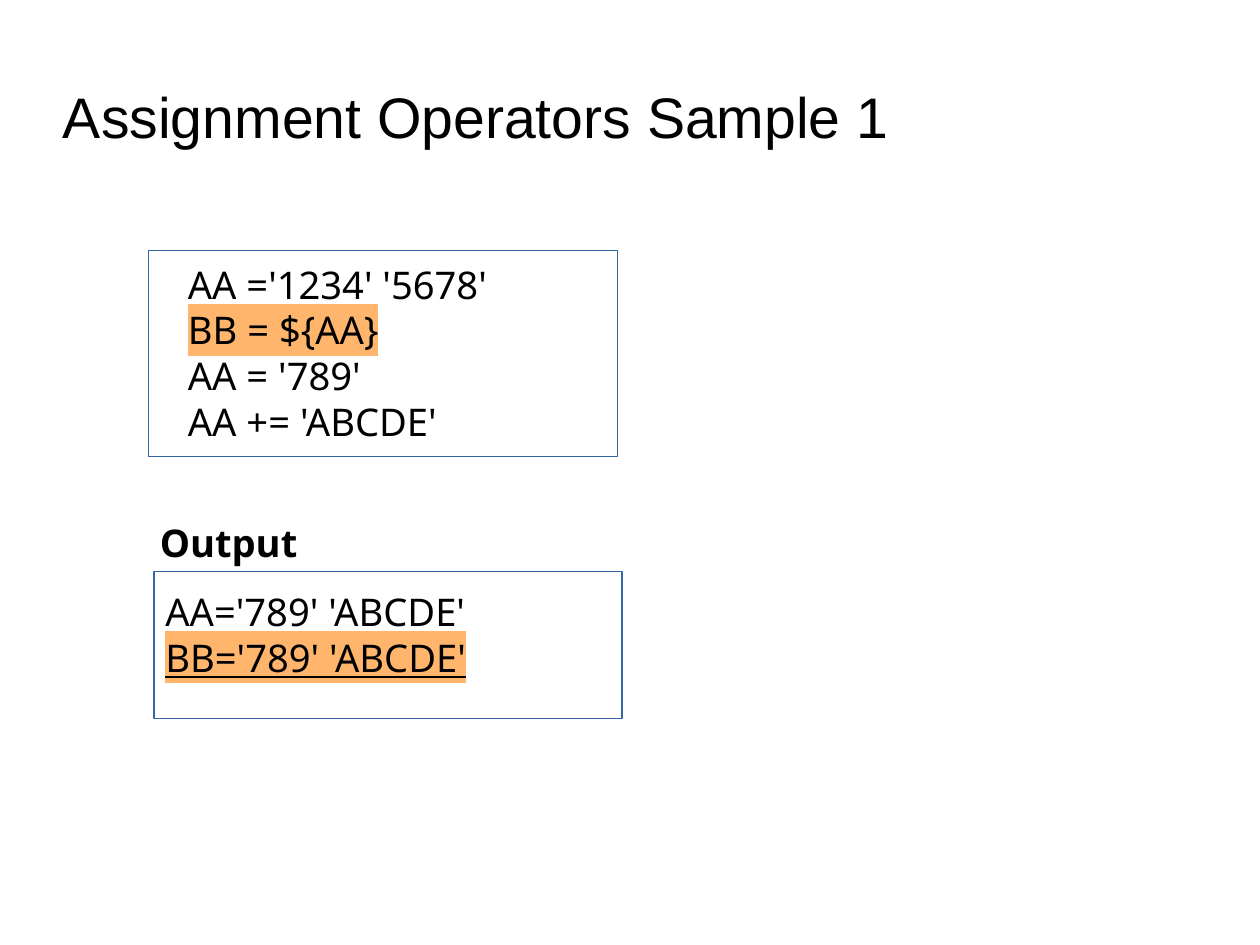
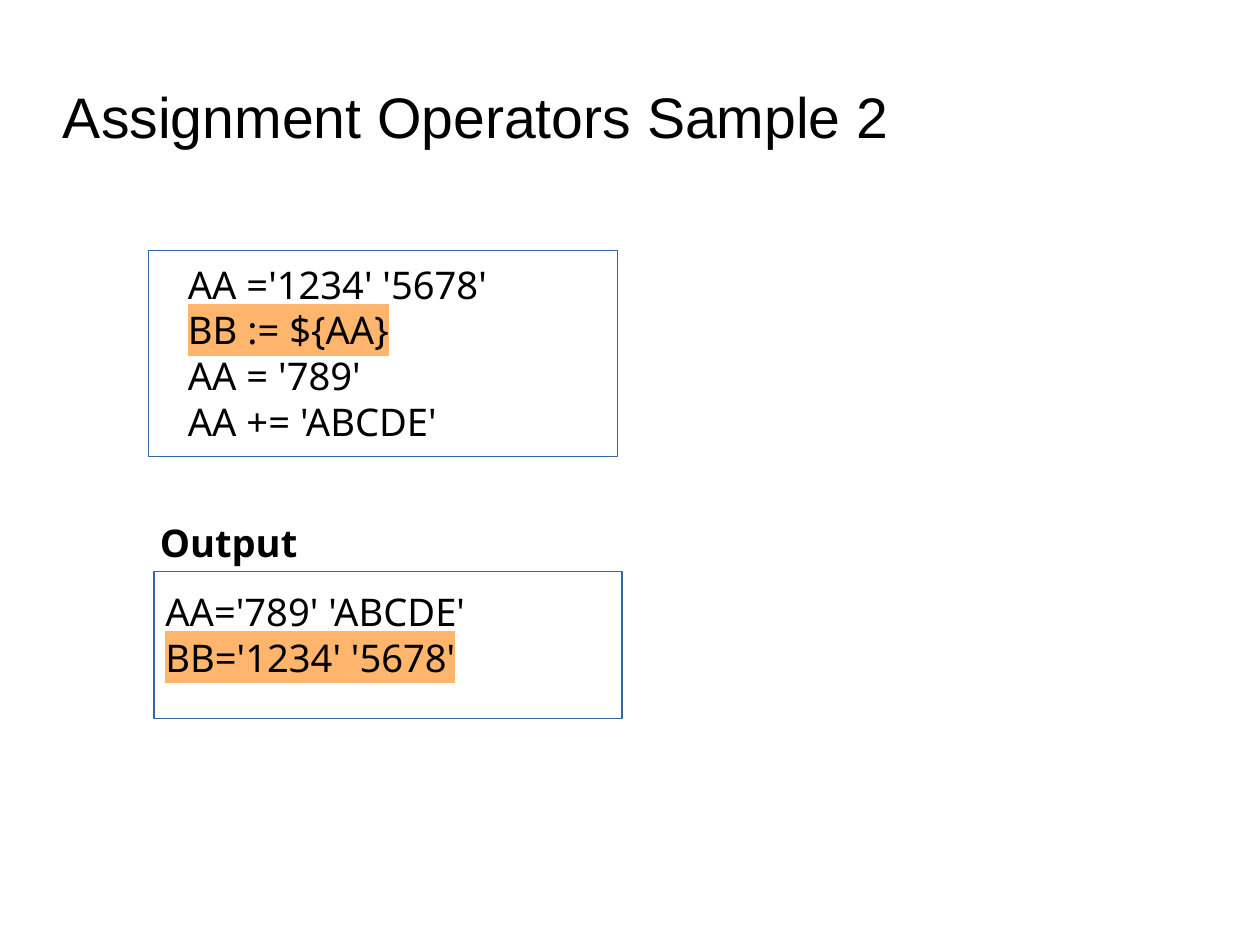
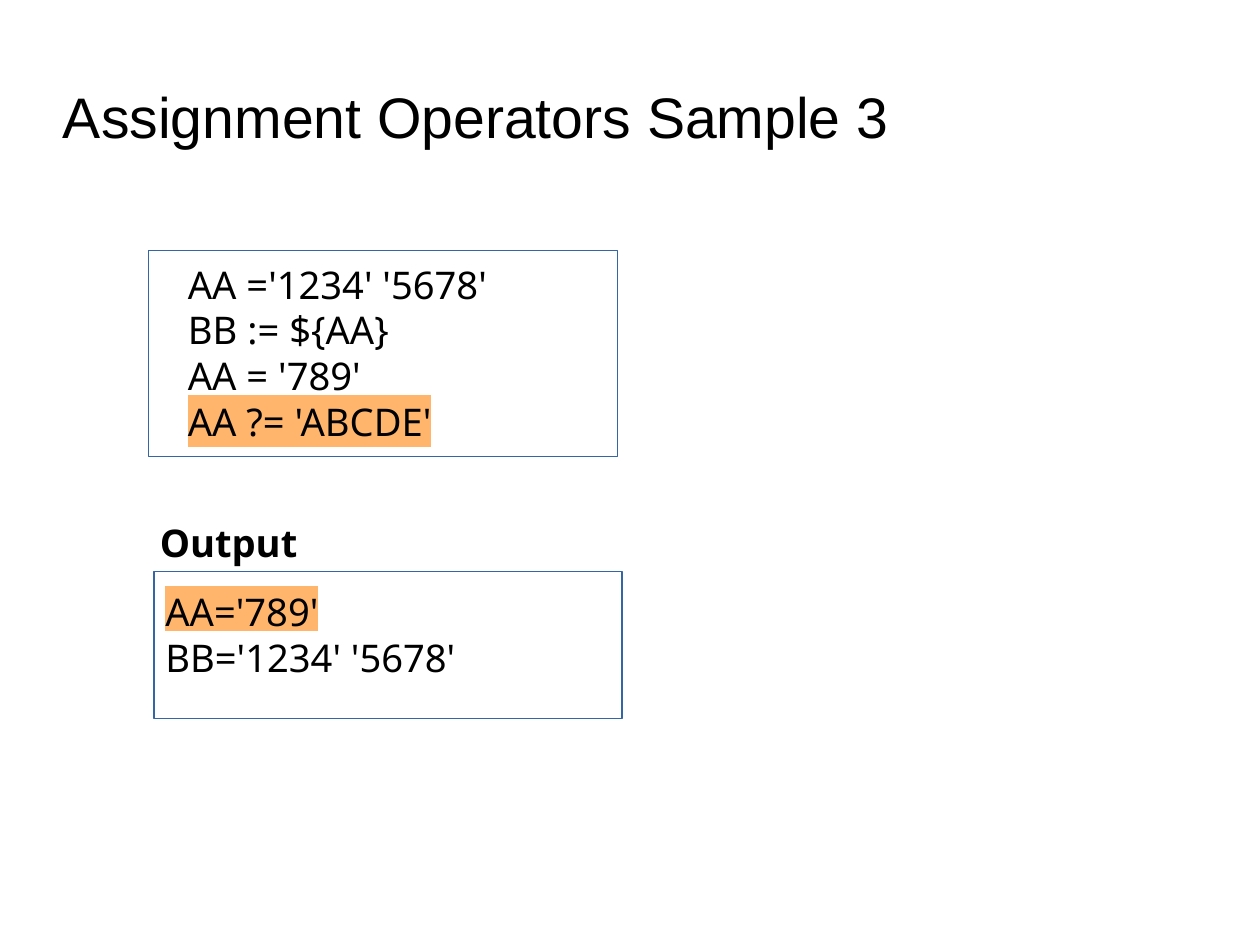
from dataclasses import dataclass

from lxml.etree import SubElement
from pptx import Presentation
from pptx.dml.color import RGBColor
from pptx.enum.shapes import MSO_SHAPE as Shape
from pptx.enum.text import MSO_ANCHOR as Anchor
from pptx.oxml.ns import qn
from pptx.util import Emu, Pt

PX = 9000


@dataclass(frozen=True)
class Theme:
    ink: str = "000000"
    paper: str = "FFFFFF"
    accent: str = "FFB66C"
    frame: str = "3465A4"
    title_font: str = "Arial"
    body_font: str = "Noto Sans"
    title_size: int = 36
    body_size: int = 24


THEME = Theme()
MARKED = {"highlight": THEME.accent}
PLAIN = {"highlight": THEME.paper}
UNDERLINED = {"highlight": THEME.accent, "underline": True}

SAMPLES = [
    (
        [("AA ='1234' '5678'", {}), ("BB = ${AA}", MARKED),
         ("AA = '789'", {}), ("AA += 'ABCDE'", {})],
        [("AA='789' 'ABCDE'", {}), ("BB='789' 'ABCDE'", UNDERLINED)],
    ),
    (
        [("AA ='1234' '5678'", {}), ("BB := ${AA}", MARKED),
         ("AA = '789'", {}), ("AA += 'ABCDE'", {})],
        [("AA='789' 'ABCDE'", {}), ("BB='1234' '5678'", MARKED)],
    ),
    (
        [("AA ='1234' '5678'", {}), ("BB := ${AA}", PLAIN),
         ("AA = '789'", {}), ("AA ?= 'ABCDE'", MARKED)],
        [("AA='789'", MARKED), ("BB='1234' '5678'", PLAIN)],
    ),
]


def px(*lengths):
    return [Emu(length * PX) for length in lengths]


def write(para, text, font=THEME.body_font, size=THEME.body_size,
          color=THEME.ink, highlight=None, bold=False, underline=False):
    span = para.add_run()
    span.text = text
    span.font.size = Pt(size)
    span.font.bold = bold
    span.font.underline = underline
    span.font.color.rgb = RGBColor.from_string(color)
    if highlight:
        properties = span.font._element
        mark = SubElement(properties, qn("a:highlight"))
        SubElement(mark, qn("a:srgbClr"), val=highlight)
    span.font.name = font


class SampleDeck:
    def __init__(self, theme, width, height):
        self.theme = theme
        self.deck = Presentation()
        self.deck.slide_width, self.deck.slide_height = px(width, height)
        self.page = None

    def add_page(self):
        self.page = self.deck.slides.add_slide(self.deck.slide_layouts[6])
        fill = self.page.background.fill
        fill.solid()
        fill.fore_color.rgb = RGBColor.from_string(self.theme.paper)

    def add_text(self, lines, left, top, width, height, inset=(10, 5),
                 anchor=Anchor.TOP):
        box = self.page.shapes.add_textbox(*px(left, top, width, height))
        frame = box.text_frame
        frame.word_wrap = True
        frame.vertical_anchor = anchor
        across, down = px(*inset)
        frame.margin_left = frame.margin_right = across
        frame.margin_top = frame.margin_bottom = down
        for index, (text, style) in enumerate(lines):
            para = frame.add_paragraph() if index else frame.paragraphs[0]
            write(para, text, **style)

    def add_title(self, text):
        style = {"font": self.theme.title_font, "size": self.theme.title_size}
        self.add_text([(text, style)], 56, 63, 800, 80, inset=(0, 0),
                      anchor=Anchor.MIDDLE)

    def add_frame(self, left, top, width, height):
        box = self.page.shapes.add_shape(
            Shape.RECTANGLE, *px(left, top, width, height))
        box.shadow.inherit = False
        box.fill.background()
        box.line.color.rgb = RGBColor.from_string(self.theme.frame)
        box.line.width = Pt(0)

    def add_sample(self, number, code, output):
        self.add_page()
        self.add_title(f"Assignment Operators Sample {number}")
        self.add_text(code, 157, 227, 545, 195)
        self.add_frame(132, 223, 417, 183)
        self.add_text([("Output", {"bold": True})], 132, 457, 163, 61)
        self.add_text(output, 137, 518, 411, 132)
        self.add_frame(137, 508, 416, 131)


def main():
    samples = SampleDeck(THEME, 1120, 840)
    for number, (code, output) in enumerate(SAMPLES, start=1):
        samples.add_sample(number, code, output)
    samples.deck.save("out.pptx")


if __name__ == "__main__":
    main()
